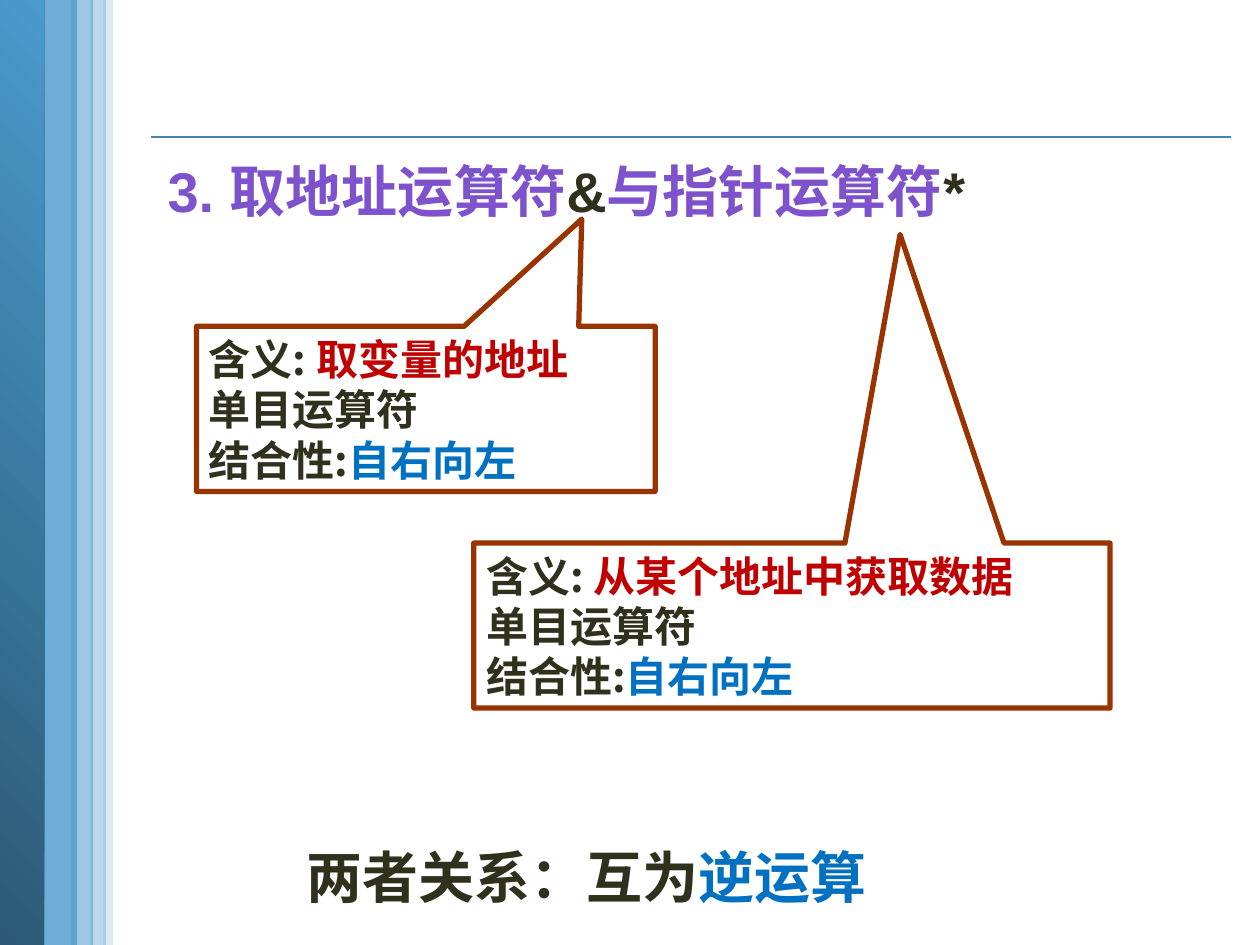
from lxml import etree
from pptx import Presentation
from pptx.dml.color import RGBColor
from pptx.enum.shapes import MSO_CONNECTOR, MSO_SHAPE
from pptx.enum.text import MSO_ANCHOR, MSO_AUTO_SIZE, PP_ALIGN
from pptx.oxml.ns import qn
from pptx.util import Inches, Pt

SKY = RGBColor(0x4A, 0x9A, 0xCC)
DEEP = RGBColor(0x2B, 0x59, 0x76)
RULE = RGBColor(0x45, 0x82, 0xA7)
WHITE = RGBColor(0xFF, 0xFF, 0xFF)
BROWN = RGBColor(0x99, 0x33, 0x00)
INK = RGBColor(0x30, 0x31, 0x1D)
RED = RGBColor(0xC0, 0x00, 0x00)
BLUE = RGBColor(0x00, 0x70, 0xC0)
PURPLE = RGBColor(0x7E, 0x52, 0xCC)

CJK = "Noto Sans CJK SC"
LATIN = "Arial"


def place(shape, left, top, width, height):
    shape.left, shape.top = Inches(left), Inches(top)
    shape.width, shape.height = Inches(width), Inches(height)


def write(shape, lines, size, font=LATIN, anchor=MSO_ANCHOR.TOP, margin=0, indent=0):
    """Fill a shape with lines, each a list of (text, colour) runs."""
    frame = shape.text_frame
    frame.word_wrap = True
    frame.auto_size = MSO_AUTO_SIZE.NONE
    frame.vertical_anchor = anchor
    for number, line in enumerate(lines):
        paragraph = frame.paragraphs[0] if number == 0 else frame.add_paragraph()
        properties = paragraph._p.get_or_add_pPr()
        properties.set("marL", str(Inches(margin)))
        properties.set("indent", str(Inches(indent)))
        etree.SubElement(properties, qn("a:buNone"))
        paragraph.alignment = PP_ALIGN.LEFT
        paragraph.line_spacing = Pt(size * 1.2)
        paragraph.space_before = Pt(0)
        for text, colour in line:
            run = paragraph.add_run()
            run.text = text
            run.font.size = Pt(size)
            run.font.bold = True
            run.font.name = font
            run.font.color.rgb = colour
            east_asian = etree.SubElement(run._r.get_or_add_rPr(), qn("a:ea"))
            east_asian.set("typeface", CJK)


def add_band(slide, box, alpha=None):
    """Add a side stripe: translucent with alpha, otherwise a gradient."""
    band = slide.shapes.add_shape(MSO_SHAPE.RECTANGLE, *map(Inches, box))
    band.shadow.inherit = False
    band.line.fill.background()
    if alpha is None:
        band.fill.gradient()
        band.fill.gradient_angle = 45
        for stop, colour, position in zip(band.fill.gradient_stops, (DEEP, SKY), (0, 1)):
            stop.color.rgb = colour
            stop.position = position
    else:
        band.fill.solid()
        band.fill.fore_color.rgb = SKY
        colour = band._element.spPr.find(qn("a:solidFill"))[0]
        etree.SubElement(colour, qn("a:alpha")).set("val", str(alpha * 1000))


def add_rule(slide, left, right, top):
    rule = slide.shapes.add_connector(
        MSO_CONNECTOR.STRAIGHT, Inches(left), Inches(top), Inches(right), Inches(top))
    rule.line.color.rgb = RULE
    rule.line.width = Pt(1)
    etree.SubElement(rule._element.spPr, qn("a:effectLst"))


def add_callout(slide, box, pointer, meaning):
    """Add a callout that explains one operator; pointer is its tip."""
    callout = slide.shapes.add_shape(MSO_SHAPE.RECTANGULAR_CALLOUT, *map(Inches, box))
    callout.adjustments[0], callout.adjustments[1] = pointer
    callout.shadow.inherit = False
    callout.fill.solid()
    callout.fill.fore_color.rgb = WHITE
    callout.line.color.rgb = BROWN
    callout.line.width = Pt(3)
    lines = [
        [("含义: ", INK), (meaning, RED)],
        [("单目运算符", INK)],
        [("结合性:", INK), ("自右向左", BLUE)],
    ]
    write(callout, lines, size=24, font=CJK, anchor=MSO_ANCHOR.MIDDLE)


def main():
    deck = Presentation()
    deck.slide_width, deck.slide_height = Inches(10), Inches(7.5)
    slide = deck.slides.add_slide(deck.slide_layouts[1])

    # Rule and side stripes
    add_rule(slide, 1.2, 9.77, 1.09)
    add_band(slide, (0.3, 0, 0.31, 7.53), alpha=80)
    add_band(slide, (-0.01, 0, 0.36, 7.5))
    add_band(slide, (0.82, -0.02, 0.08, 7.52), alpha=20)
    add_band(slide, (0.56, 0, 0.18, 7.51), alpha=54)
    add_band(slide, (0.72, 0, 0.12, 7.52), alpha=37)

    # Operator callouts
    add_callout(slide, (1.56, 2.59, 3.64, 1.31), (0.34, -1.15), "取变量的地址")
    add_callout(slide, (3.76, 4.31, 5.05, 1.31), (0.17, -2.37), "从某个地址中获取数据")

    # Heading
    heading = slide.shapes.title
    place(heading, 1.23, 1.19, 6.6, 0.62)
    write(heading, [[("3. 取地址运算符", PURPLE), ("&", INK),
                     ("与指针运算符", PURPLE), ("*", INK)]], size=32)

    # Relation between the two operators
    relation = slide.placeholders[1]
    place(relation, 1.83, 6.64, 6.1, 0.57)
    write(relation, [[("两者关系：互为", INK), ("逆运算", BLUE)]],
          size=32, margin=0.81, indent=-0.31)

    deck.save("out.pptx")


if __name__ == "__main__":
    main()
